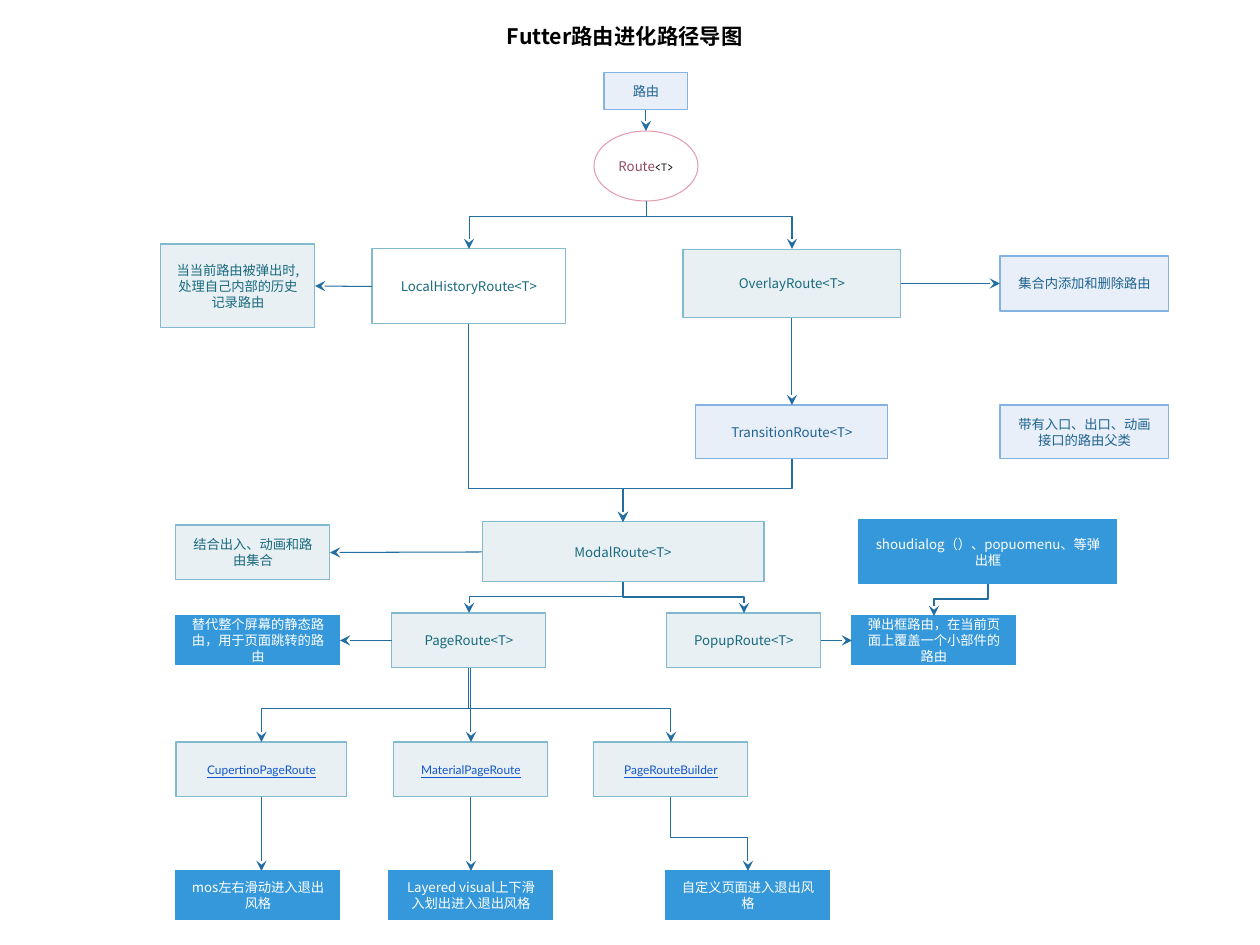
from dataclasses import dataclass

from lxml import etree
from pptx import Presentation
from pptx.dml.color import RGBColor
from pptx.enum.shapes import MSO_CONNECTOR, MSO_SHAPE
from pptx.enum.text import MSO_ANCHOR, PP_ALIGN
from pptx.oxml.ns import qn
from pptx.util import Pt

RECTANGLE, OVAL = MSO_SHAPE.RECTANGLE, MSO_SHAPE.OVAL
STRAIGHT, ELBOW = MSO_CONNECTOR.STRAIGHT, MSO_CONNECTOR.ELBOW
MIDDLE, CENTER = MSO_ANCHOR.MIDDLE, PP_ALIGN.CENTER
TOP, LEFT, BOTTOM, RIGHT = range(4)  # connection sites of a rectangle
EMU_PER_PX = 914400 / 126
SLIDE_WIDTH, SLIDE_HEIGHT = 1260, 945
INSET = 12


@dataclass(frozen=True)
class Style:
    fill: str
    line: str
    text: str


@dataclass(frozen=True)
class Theme:
    teal = Style("E8F0F4", "81BACE", "1A6A7E")
    white = Style("FFFFFF", "81BACE", "1A6A7E")
    pale = Style("E8EFF8", "83B3E3", "1F6391")
    solid = Style("3498DB", "3498DB", "FFFFFF")
    root = Style("FFFFFF", "E49CB1", "924961")
    arrow = "236EA1"
    link = "1155CC"
    black = "000000"
    dark = "111111"
    font = "Noto Sans CJK SC"
    link_font = "Lato"
    generic_font = "Karla"
    title_size = 12.2
    body_size = 7.6
    small_size = 6.8
    line_width = 0.6


THEME = Theme()


def px(length):
    return round(length * EMU_PER_PX)


def color(value):
    return RGBColor.from_string(value)


def add_text(shape, text, *, ink, size=THEME.body_size, font=THEME.font,
             bold=False, underline=False, inset=INSET):
    """Append a run to the shape's only paragraph, centred both ways."""
    frame = shape.text_frame
    frame.word_wrap = True
    frame.vertical_anchor = MIDDLE
    frame.margin_left = frame.margin_right = px(inset)
    frame.margin_top = frame.margin_bottom = 0
    paragraph = frame.paragraphs[0]
    paragraph.alignment = CENTER
    run = paragraph.add_run()
    run.text = text
    run.font.size = Pt(size)
    run.font.bold = bold
    run.font.underline = underline
    run.font.color.rgb = color(ink)
    run.font.name = font
    east_asian = etree.SubElement(run.font._element, qn("a:ea"))
    east_asian.set("typeface", THEME.font)


def add_box(slide, box, style, text="", kind=RECTANGLE, **text_format):
    shape = slide.shapes.add_shape(kind, *map(px, box))
    shape.shadow.inherit = False
    shape.fill.solid()
    shape.fill.fore_color.rgb = color(style.fill)
    shape.line.color.rgb = color(style.line)
    shape.line.width = Pt(THEME.line_width)
    if text:
        add_text(shape, text, **{"ink": style.text, **text_format})
    return shape


def style_arrow(connector):
    connector.line.color.rgb = color(THEME.arrow)
    connector.line.width = Pt(THEME.line_width)
    properties = connector._element.spPr
    outline = properties.find(qn("a:ln"))
    etree.SubElement(outline, qn("a:tailEnd")).set("type", "stealth")
    etree.SubElement(properties, qn("a:effectLst"))


def link(slide, source, target, start=BOTTOM, end=TOP):
    """Glue a straight arrow to two shapes."""
    connector = slide.shapes.add_connector(STRAIGHT, 0, 0, 0, 0)
    connector.begin_connect(source, start)
    connector.end_connect(target, end)
    style_arrow(connector)


def link_plumb(slide, source, target, axis):
    """Drop a vertical arrow on the centre of the axis shape."""
    x = axis.left + axis.width // 2
    connector = slide.shapes.add_connector(
        STRAIGHT, x, source.top + source.height, x, target.top)
    style_arrow(connector)


def link_elbow(slide, source, target, bend):
    """Run down from source, across at height bend (px), down to target."""
    start_x = source.left + source.width // 2
    start_y = source.top + source.height
    end_x = target.left + target.width // 2
    drop, shift = target.top - start_y, abs(end_x - start_x)
    left = (start_x + end_x - drop) // 2
    top = (start_y + target.top - shift) // 2
    connector = slide.shapes.add_connector(ELBOW, left, top, left + drop, top + shift)
    # The preset runs sideways, so it is turned a quarter to run downwards.
    transform = connector._element.spPr.find(qn("a:xfrm"))
    transform.set("rot", "5400000")
    if end_x > start_x:
        transform.set("flipV", "1")
    adjustments = connector._element.spPr.find(qn("a:prstGeom")).get_or_add_avLst()
    guide = etree.SubElement(adjustments, qn("a:gd"))
    guide.set("name", "adj1")
    guide.set("fmla", f"val {round((px(bend) - start_y) / drop * 100000)}")
    style_arrow(connector)


def draw_title(slide, left, top, width, height):
    title = slide.shapes.add_textbox(*map(px, (left, top, width, height)))
    add_text(title, "Futter路由进化路径导图", ink=THEME.black,
             size=THEME.title_size, bold=True)


def draw_root(slide, left, top):
    start = add_box(slide, (left + 10, top, 84, 37), THEME.pale, "路由")
    route = add_box(slide, (left, top + 58, 104, 70), THEME.root, "Route",
                    OVAL, inset=0)
    add_text(route, "<T>", ink=THEME.dark, size=THEME.small_size,
             font=THEME.generic_font, inset=0)
    link(slide, start, route)
    return route


def draw_branches(slide, left, top):
    """Draw the history and overlay branches with their notes."""
    history_note = add_box(slide, (left, top, 154, 84), THEME.teal,
                           "当当前路由被弹出时,处理自己内部的历史记录路由")
    history = add_box(slide, (left + 211, top + 5, 194, 75), THEME.white,
                      "LocalHistoryRoute<T>")
    overlay = add_box(slide, (left + 522, top + 5, 218, 69), THEME.teal,
                      "OverlayRoute<T>")
    transition = add_box(slide, (left + 535, top + 161, 192, 54), THEME.pale,
                         "TransitionRoute<T>")
    overlay_note = add_box(slide, (left + 839, top + 12, 169, 55), THEME.pale,
                           "集合内添加和删除路由")
    add_box(slide, (left + 839, top + 161, 169, 54), THEME.pale,
            "带有入口、出口、动画接口的路由父类")
    link(slide, history, history_note, LEFT, RIGHT)
    link(slide, overlay, overlay_note, RIGHT, LEFT)
    link(slide, overlay, transition)
    return history, overlay, transition


def draw_modal(slide, left, top):
    """Draw the modal route, its page and popup children, and their notes."""
    modal = add_box(slide, (left + 306, top + 2, 282, 60), THEME.teal, "ModalRoute<T>")
    modal_note = add_box(slide, (left, top + 5, 154, 55), THEME.teal,
                         "结合出入、动画和路由集合")
    page = add_box(slide, (left + 216, top + 93, 154, 55), THEME.teal, "PageRoute<T>")
    popup = add_box(slide, (left + 491, top + 93, 154, 55), THEME.teal, "PopupRoute<T>")
    page_note = add_box(slide, (left, top + 96, 164, 49), THEME.solid,
                        "替代整个屏幕的静态路由，用于页面跳转的路由")
    popup_note = add_box(slide, (left + 676, top + 96, 164, 49), THEME.solid,
                         "弹出框路由，在当前页面上覆盖一个小部件的路由")
    dialogs = add_box(slide, (left + 683, top, 258, 64), THEME.solid,
                      "shoudialog（）、popuomenu、等弹出框", inset=16)
    link(slide, modal, modal_note, LEFT, RIGHT)
    link(slide, page, page_note, LEFT, RIGHT)
    link(slide, popup, popup_note, RIGHT, LEFT)
    for child in (page, popup):
        link_elbow(slide, modal, child, top + 77)
    link_elbow(slide, dialogs, popup_note, top + 79)
    return modal, page


def draw_pages(slide, left, top, page):
    """Draw each page route over the transition style it leads to."""
    columns = (
        ("CupertinoPageRoute", 0, 171, "mos左右滑动进入退出风格", 0),
        ("MaterialPageRoute", 218, 154, "Layered visual上下滑入划出进入退出风格", 213),
        ("PageRouteBuilder", 418, 154, "自定义页面进入退出风格", 490),
    )
    children, notes = [], []
    for name, offset, width, note, note_offset in columns:
        children.append(add_box(
            slide, (left + offset, top, width, 55), THEME.teal, name, ink=THEME.link,
            size=THEME.small_size, font=THEME.link_font, underline=True))
        notes.append(add_box(slide, (left + note_offset, top + 129, 164, 49),
                             THEME.solid, note))
    cupertino, material, builder = children
    for child in (cupertino, builder):
        link_elbow(slide, page, child, top - 33)
    link_plumb(slide, page, material, material)
    for child, note in zip((cupertino, material), notes):
        link_plumb(slide, child, note, child)
    link_elbow(slide, builder, notes[2], top + 96)


def main():
    presentation = Presentation()
    presentation.slide_width = px(SLIDE_WIDTH)
    presentation.slide_height = px(SLIDE_HEIGHT)
    slide = presentation.slides.add_slide(presentation.slide_layouts[6])
    draw_title(slide, 399, 0, 452, 72)
    route = draw_root(slide, 594, 73)
    history, overlay, transition = draw_branches(slide, 161, 244)
    modal, page = draw_modal(slide, 176, 520)
    draw_pages(slide, 176, 742, page)
    for branch in (history, overlay):
        link_elbow(slide, route, branch, 217)
    for branch in (history, transition):
        link_elbow(slide, branch, modal, 489)
    presentation.save("out.pptx")


if __name__ == "__main__":
    main()
